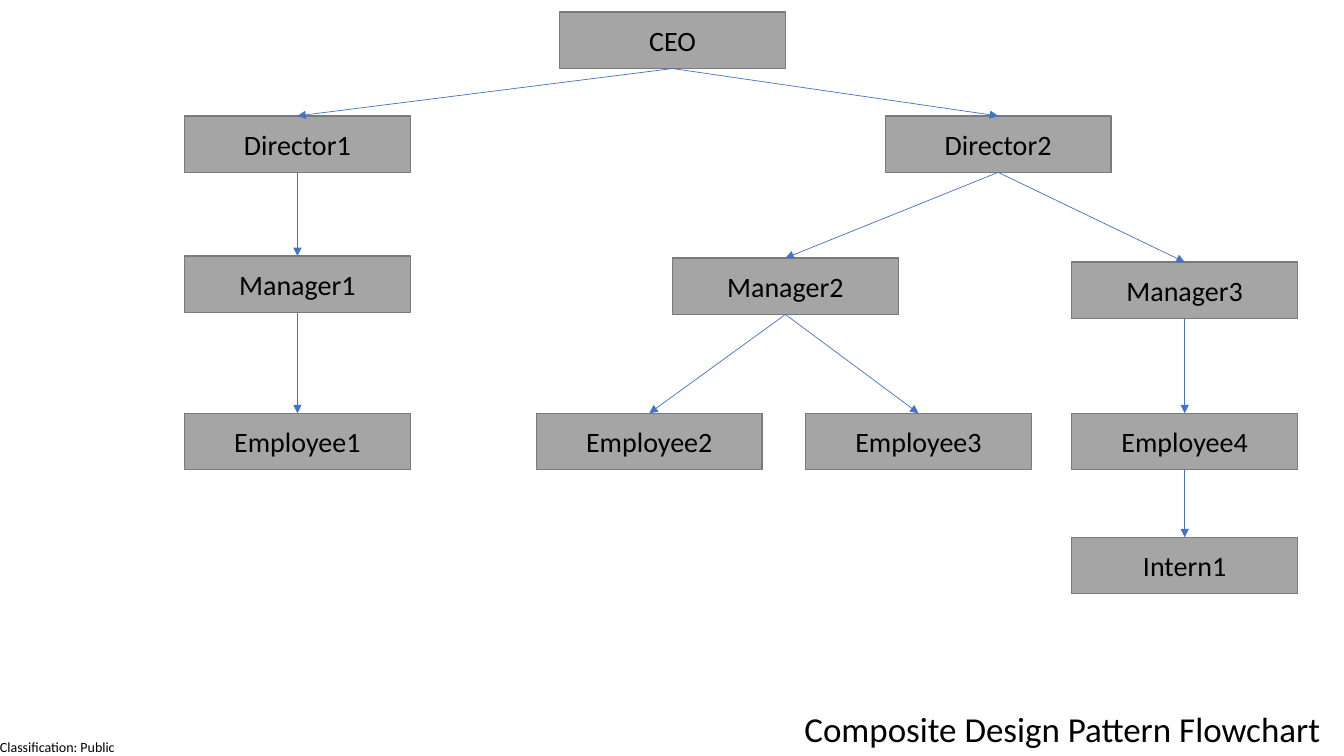
"""Build an organisation chart slide for the composite design pattern."""
from lxml import etree
from pptx import Presentation
from pptx.dml.color import RGBColor
from pptx.enum.shapes import MSO_CONNECTOR, MSO_SHAPE
from pptx.enum.text import MSO_ANCHOR, PP_ALIGN
from pptx.oxml.ns import qn
from pptx.util import Inches, Pt

RECTANGLE = MSO_SHAPE.RECTANGLE
STRAIGHT = MSO_CONNECTOR.STRAIGHT
CENTER, LEFT = PP_ALIGN.CENTER, PP_ALIGN.LEFT
MIDDLE = MSO_ANCHOR.MIDDLE

FONT = "Calibri"
COLORS = {"box": "A5A5A5", "border": "7A7A7A", "arrow": "4472C4", "text": "000000"}
SLIDE_WIDTH, SLIDE_HEIGHT = 13.33, 7.5
BOX_WIDTH, BOX_HEIGHT = 2.24, 0.56
TOP_SITE, BOTTOM_SITE = 0, 2

COLUMNS = {"left": 1.83, "employee2": 5.32, "ceo": 5.55, "manager2": 6.67,
           "employee3": 7.99, "director2": 8.78, "right": 10.63}
ROWS = {"ceo": 0.12, "directors": 1.15, "manager1": 2.54, "manager2": 2.56,
        "manager3": 2.6, "employees": 4.1, "intern": 5.33}

PEOPLE = {
    "CEO": ("ceo", "ceo"),
    "Director1": ("left", "directors"),
    "Director2": ("director2", "directors"),
    "Manager1": ("left", "manager1"),
    "Employee1": ("left", "employees"),
    "Manager2": ("manager2", "manager2"),
    "Manager3": ("right", "manager3"),
    "Employee2": ("employee2", "employees"),
    "Employee3": ("employee3", "employees"),
    "Employee4": ("right", "employees"),
    "Intern1": ("right", "intern"),
}
REPORTS = {
    "CEO": ["Director1", "Director2"],
    "Director1": ["Manager1"],
    "Director2": ["Manager2", "Manager3"],
    "Manager1": ["Employee1"],
    "Manager2": ["Employee2", "Employee3"],
    "Manager3": ["Employee4"],
    "Employee4": ["Intern1"],
}


def color(name):
    """Return the named colour."""
    return RGBColor.from_string(COLORS[name])


def write(frame, text, size, alignment):
    """Write one styled paragraph into a text frame."""
    paragraph = frame.paragraphs[0]
    paragraph.text = text
    paragraph.alignment = alignment
    paragraph.font.name = FONT
    paragraph.font.size = Pt(size)
    paragraph.font.color.rgb = color("text")


def add_person(slide, name, column, row):
    """Add the labelled box of one person."""
    shape = slide.shapes.add_shape(
        RECTANGLE, Inches(COLUMNS[column]), Inches(ROWS[row]),
        Inches(BOX_WIDTH), Inches(BOX_HEIGHT))
    shape.shadow.inherit = False
    shape.fill.solid()
    shape.fill.fore_color.rgb = color("box")
    shape.line.color.rgb = color("border")
    shape.line.width = Pt(1)
    shape.text_frame.vertical_anchor = MIDDLE
    write(shape.text_frame, name, 20, CENTER)
    return shape


def add_arrow(slide, superior, report):
    """Add an arrow from the foot of one box to the top of another."""
    connector = slide.shapes.add_connector(STRAIGHT, 0, 0, 0, 0)
    connector.begin_connect(superior, BOTTOM_SITE)
    connector.end_connect(report, TOP_SITE)
    connector.line.color.rgb = color("arrow")
    connector.line.width = Pt(0.5)
    etree.SubElement(connector.line._get_or_add_ln(), qn("a:tailEnd"), type="triangle")
    etree.SubElement(connector._element.spPr, qn("a:effectLst"))


def add_label(slide, text, size, left, top, width, height, margin):
    """Add a left-aligned text box with equal side margins."""
    box = slide.shapes.add_textbox(Inches(left), Inches(top), Inches(width), Inches(height))
    frame = box.text_frame
    frame.word_wrap = True
    frame.margin_left = frame.margin_right = Inches(margin)
    frame.margin_top = frame.margin_bottom = Inches(margin / 2)
    write(frame, text, size, LEFT)


def main():
    """Build and save the slide."""
    presentation = Presentation()
    presentation.slide_width = Inches(SLIDE_WIDTH)
    presentation.slide_height = Inches(SLIDE_HEIGHT)
    slide = presentation.slides.add_slide(presentation.slide_layouts[6])
    add_label(slide, "Classification: Public", 10, 0, SLIDE_HEIGHT - 0.17, 1.17, 0.17, 0)
    boxes = {name: add_person(slide, name, *place) for name, place in PEOPLE.items()}
    for superior, reports in REPORTS.items():
        for report in reports:
            add_arrow(slide, boxes[superior], boxes[report])
    add_label(slide, "Composite Design Pattern Flowchart", 25,
              7.88, 6.97, SLIDE_WIDTH - 7.88, 0.52, 0.1)
    presentation.save("out.pptx")


if __name__ == "__main__":
    main()
